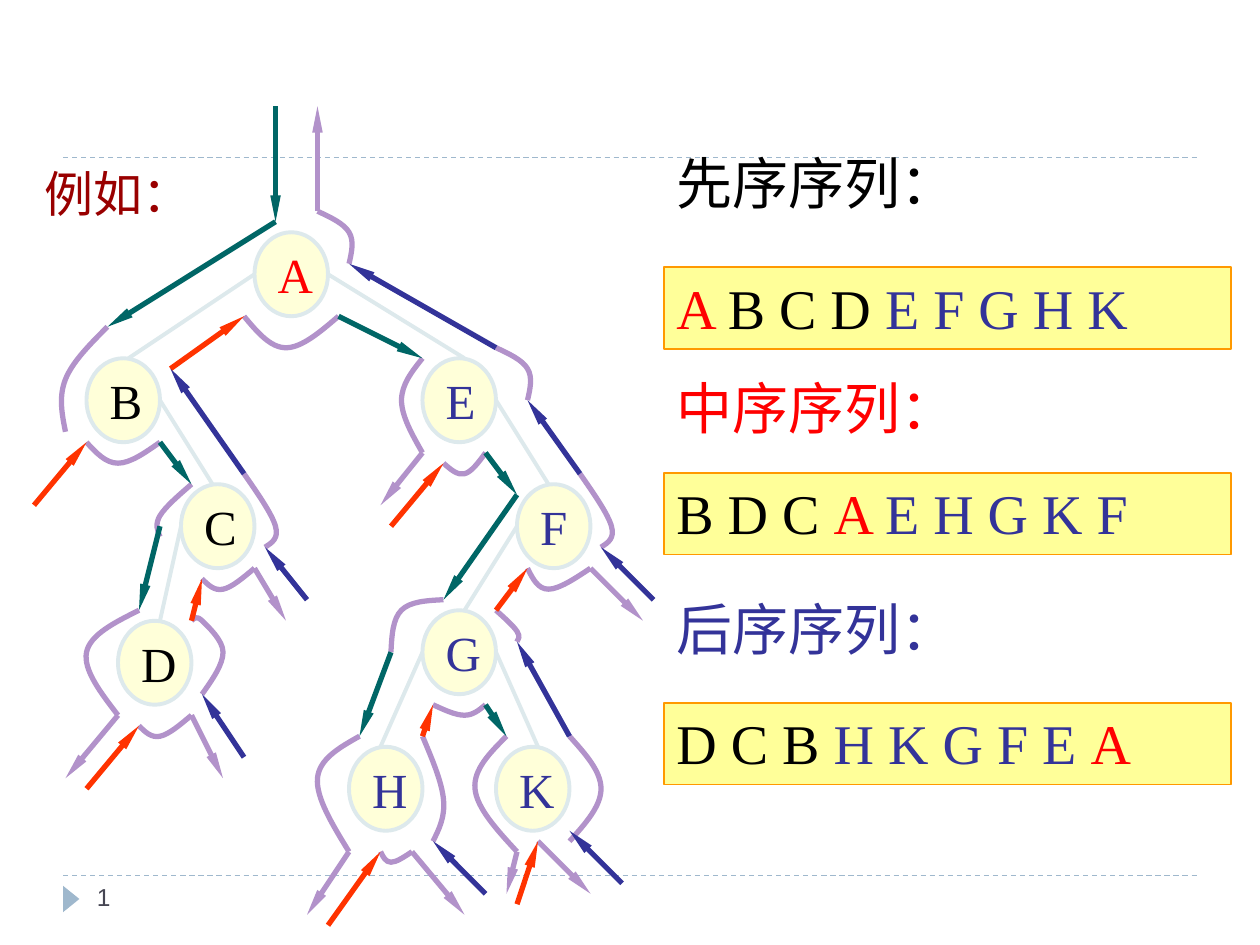
from pptx import Presentation
from pptx.dml.color import RGBColor
from pptx.enum.dml import MSO_LINE
from pptx.enum.shapes import MSO_CONNECTOR, MSO_SHAPE
from pptx.enum.text import MSO_ANCHOR, MSO_AUTO_SIZE, PP_ALIGN
from pptx.oxml.ns import qn
from pptx.util import Inches, Pt
from lxml import etree

STRAIGHT = MSO_CONNECTOR.STRAIGHT
OVAL, RECT, TRIANGLE = MSO_SHAPE.OVAL, MSO_SHAPE.RECTANGLE, MSO_SHAPE.ISOSCELES_TRIANGLE
LEFT, JUSTIFY = PP_ALIGN.LEFT, PP_ALIGN.JUSTIFY
TOP, MIDDLE = MSO_ANCHOR.TOP, MSO_ANCHOR.MIDDLE
GROW = MSO_AUTO_SIZE.SHAPE_TO_FIT_TEXT
DASH = MSO_LINE.DASH

COLORS = {
    "black": "000000", "red": "FF0000", "navy": "333399", "maroon": "990000",
    "teal": "006666", "orange": "FF3300", "purple": "B292CA", "node": "FFFFD9",
    "edge": "DDE9EC", "rule": "9FB8CD", "box": "FFFF99", "border": "FF9900",
    "number": "464653",
}

NODES = {
    "A": (24, 22, "red"), "B": (8, 34, "black"), "C": (17, 46, "black"),
    "D": (11, 59, "black"), "E": (40, 34, "navy"), "F": (49, 46, "navy"),
    "G": (40, 58, "navy"), "H": (33, 71, "navy"), "K": (47, 71, "navy"),
}
NODE_W, NODE_H = 7, 8
EDGES = [("A", "B", 4), ("B", "C", 3), ("C", "D", 4), ("A", "E", 4),
         ("E", "F", 3), ("F", "G", 4), ("G", "H", 3), ("G", "K", 4)]

ARROWS = {
    "purple": [(11, 68, 6, 74), (18, 68, 21, 74), (24, 54, 27, 59), (40, 43, 36, 48),
               (33, 81, 29, 87), (39, 81, 44, 87), (49, 81, 48, 85), (51, 80, 56, 85),
               (56, 54, 61, 59), (30, 20, 30, 10)],
    "teal": [(26, 10, 26, 21), (26, 21, 10, 31), (15, 42, 18, 46), (15, 50, 13, 58),
             (32, 30, 40, 34), (46, 43, 49, 47), (49, 47, 42, 57), (37, 62, 34, 70),
             (46, 67, 48, 70)],
    "orange": [(3, 48, 8, 42), (8, 75, 13, 69), (18, 59, 19, 55), (16, 35, 23, 30),
               (37, 50, 42, 44), (31, 88, 36, 81), (40, 70, 41, 67), (49, 86, 51, 80),
               (47, 58, 50, 54)],
    "navy": [(23, 72, 19, 66), (29, 57, 25, 52), (23, 45, 16, 35), (46, 85, 41, 80),
             (59, 84, 54, 79), (54, 70, 49, 61), (62, 57, 57, 52), (55, 45, 50, 38),
             (47, 33, 33, 25)],
}

CURVES = [
    [(10, 31), (6, 36), (6, 41)], [(8, 42), (11, 44), (15, 42)],
    [(18, 46), (15, 49), (15, 51)], [(13, 58), (8, 62), (11, 68)],
    [(13, 69), (15, 70), (18, 68)], [(19, 66), (21, 62), (19, 59), (18, 59)],
    [(19, 55), (21, 56), (24, 54)], [(25, 52), (26, 50), (23, 45)],
    [(23, 30), (27, 33), (32, 30)], [(40, 34), (38, 38), (40, 43)],
    [(42, 44), (44, 45), (46, 43)], [(42, 57), (38, 58), (37, 62)],
    [(34, 70), (30, 74), (33, 81)], [(36, 81), (37, 82), (39, 81)],
    [(41, 80), (42, 76), (40, 70)], [(41, 67), (44, 68), (46, 67)],
    [(48, 70), (45, 75), (49, 81)], [(54, 80), (57, 75), (54, 70)],
    [(49, 61), (49, 60), (47, 58)], [(50, 54), (52, 56), (56, 54)],
    [(57, 52), (58, 50), (55, 45)], [(50, 38), (50, 35), (47, 33)],
    [(33, 25), (33, 22), (30, 20)],
]

SEQUENCES = [
    ("先序序列：", "black", 13.4, 25.3, JUSTIFY,
     [("A ", "red"), ("B C D ", "black"), ("E F G H K", "navy")]),
    ("中序序列：", "red", 34.9, 44.9, LEFT,
     [("B D C ", "black"), ("A ", "red"), ("E H G K F", "navy")]),
    ("后序序列：", "navy", 55.9, 66.8, LEFT,
     [("D C B", "black"), (" H K G F E ", "navy"), ("A", "red")]),
]


def rgb(name):
    """Return the named colour."""
    return RGBColor.from_string(COLORS[name])


def write(sp, runs, size=32, font="Times New Roman", align=LEFT, anchor=TOP,
          wrap=True, grow=False, before=0):
    """Fill a shape with one paragraph of (text, colour) runs."""
    tf = sp.text_frame
    tf.word_wrap, tf.vertical_anchor = wrap, anchor
    if grow:
        tf.auto_size = GROW
    p = tf.paragraphs[0]
    p.alignment, p.space_before = align, Pt(before)
    for text, color in runs:
        r = p.add_run()
        r.text = text
        r.font.size, r.font.name = Pt(size), font
        r.font.color.rgb = rgb(color)


def spline(points):
    """Return the cubic control points of a smooth curve through the points."""
    def mid(a, b):
        return tuple((m + n) / 2 for m, n in zip(a, b))

    before, after = {}, {}
    for i in range(1, len(points) - 1):
        step = [(n - m) / 6 for m, n in zip(points[i - 1], points[i + 1])]
        before[i] = tuple(v - s for v, s in zip(points[i], step))
        after[i] = tuple(v + s for v, s in zip(points[i], step))
    last = len(points) - 1
    after[0] = mid(points[0], before[1])
    before[last] = mid(after[last - 1], points[last])
    return [c for i in range(last) for c in (after[i], before[i + 1], points[i + 1])]


class Board:
    """Draw on a slide with a grid of twelve cells to the inch."""

    def __init__(self, slide):
        self.shapes = slide.shapes

    def at(self, col, row):
        return Inches(0.02 + col / 12), Inches(0.01 + row / 12)

    def box(self, col, row, w, h):
        return *self.at(col, row), Inches(w / 12), Inches(h / 12)

    def stroke(self, sp, color, width):
        sp.line.color.rgb, sp.line.width = rgb(color), Pt(width)

    def shape(self, kind, box, fill, line=None, width=1):
        sp = self.shapes.add_shape(kind, *self.box(*box))
        sp.shadow.inherit = False
        sp.fill.solid()
        sp.fill.fore_color.rgb = rgb(fill)
        if line:
            self.stroke(sp, line, width)
        else:
            sp.line.fill.background()
        return sp

    def text(self, box, runs, **fmt):
        write(self.shapes.add_textbox(*self.box(*box)), runs, **fmt)

    def line(self, ends, color, width, dash=None, arrow=False):
        sp = self.shapes.add_connector(STRAIGHT, *self.at(*ends[:2]), *self.at(*ends[2:]))
        self.stroke(sp, color, width)
        if dash:
            sp.line.dash_style = dash
        props = sp._element.spPr
        if arrow:
            etree.SubElement(props.find(qn("a:ln")), qn("a:tailEnd"),
                             type="triangle", w="sm", len="lg")
        etree.SubElement(props, qn("a:effectLst"))

    def curve(self, points, color, width):
        fb = self.shapes.build_freeform(*self.at(*points[0]))
        fb.add_line_segments([self.at(*c) for c in spline(points)], close=False)
        sp = fb.convert_to_shape()
        sp.shadow.inherit = False
        sp.fill.background()
        self.stroke(sp, color, width)
        segments = list(sp._element.iter(qn("a:lnTo")))
        for i in range(0, len(segments), 3):
            bezier = etree.SubElement(segments[i].getparent(), qn("a:cubicBezTo"))
            for segment in segments[i:i + 3]:
                bezier.append(segment[0])
                segment.getparent().remove(segment)


def main():
    """Build the tree traversal slide."""
    prs = Presentation()
    prs.slide_width, prs.slide_height = Inches(10), Inches(7.5)
    board = Board(prs.slides.add_slide(prs.slide_layouts[6]))
    for row in (83.28, 14.88):
        board.line((5.76, row, 113.76, row), "rule", 0.75, dash=DASH)
    board.shape(TRIANGLE, (5.28, 84.72, 2.52, 1.56), "rule").rotation = 90
    for name, (col, row, color) in NODES.items():
        sp = board.shape(OVAL, (col, row, NODE_W, NODE_H), "node", "edge", 2.25)
        write(sp, [(name, color)], size=28, anchor=MIDDLE, wrap=False)
    for parent, child, top in EDGES:
        (px, py, _), (cx, cy, _) = NODES[parent], NODES[child]
        side = px + NODE_W if cx > px else px
        board.line((side, py + NODE_H / 2, cx + top, cy), "edge", 2.25)
    for points in CURVES:
        board.curve(points, "purple", 3)
    for color, arrows in ARROWS.items():
        for ends in arrows:
            board.line(ends, color, 3, arrow=True)
    board.text((2.8, 14.9, 20.8, 6.8), [("例如：", "maroon")], size=28, grow=True)
    for title, color, title_row, box_row, align, runs in SEQUENCES:
        board.text((63, title_row, 34, 7.6), [(title, color)], grow=True)
        sp = board.shape(RECT, (63, box_row, 54, 7.8), "box", "border")
        write(sp, runs, align=align, grow=True, before=4)
    board.text((7.8, 83.3, 26, 4.8), [("1", "number")], size=14, font="Arial")
    prs.save("out.pptx")


if __name__ == "__main__":
    main()
